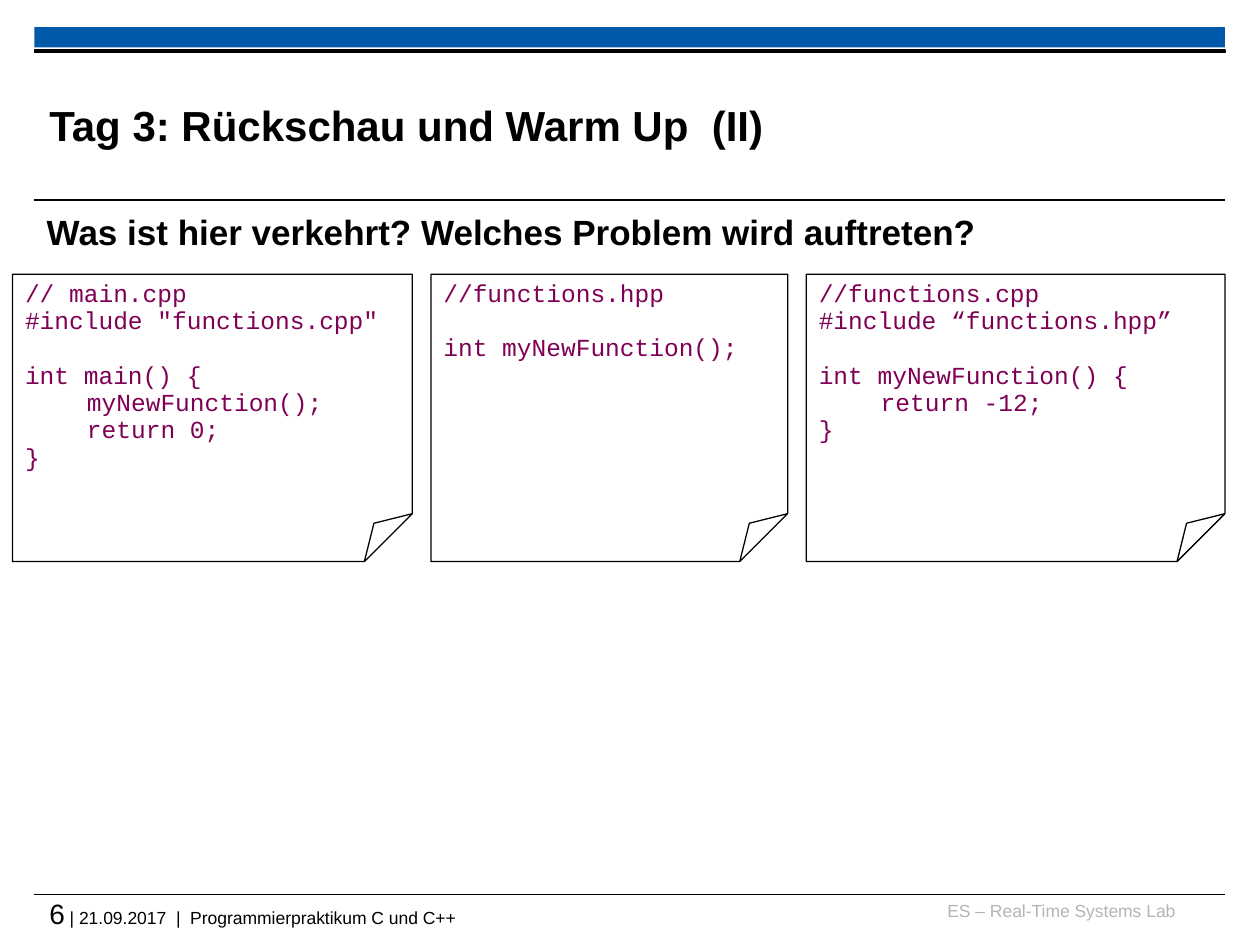
from dataclasses import dataclass

from lxml import etree
from pptx import Presentation
from pptx.dml.color import RGBColor
from pptx.enum import shapes, text
from pptx.oxml import ns
from pptx.util import Pt


@dataclass(frozen=True)
class Theme:
    sans: str = "Arial"
    mono: str = "Courier New"
    black: str = "000000"
    blue: str = "005AA9"
    grey: str = "B5B5B5"
    code: str = "7F0055"
    title_size: int = 24
    question_size: int = 20
    code_size: int = 14
    number_size: int = 16
    footer_size: int = 10
    hairline: float = 0.6
    outline: float = 0.75
    code_spacing: float = 0.93
    code_gap: float = 15.5
    code_tab: float = 35.4


THEME = Theme()

CODE_PANELS = [
    (7.2, 228.4, ["// main.cpp", '#include "functions.cpp"', "",
                  "int main() {", "\tmyNewFunction();", "\treturn 0;", "}"]),
    (246.3, 203.8, ["//functions.hpp", "", "int myNewFunction();"]),
    (460.8, 239.2, ["//functions.cpp", "#include “functions.hpp”", "",
                    "int myNewFunction() {", "\treturn -12;", "}"]),
]


def color(value):
    return RGBColor.from_string(value)


def add_run(paragraph, content, size, ink=THEME.black, font=THEME.sans, bold=False):
    run = paragraph.add_run()
    run.text = content
    run.font.name = font
    run.font.size = Pt(size)
    run.font.bold = bold
    run.font.color.rgb = color(ink)


def add_label(slide, box, inset=(0, 0), anchor=text.MSO_ANCHOR.TOP):
    frame = slide.shapes.add_textbox(*map(Pt, box)).text_frame
    frame.word_wrap = True
    frame.vertical_anchor = anchor
    frame.margin_left = frame.margin_right = Pt(inset[0])
    frame.margin_top = frame.margin_bottom = Pt(inset[1])
    return frame.paragraphs[0]


def add_rule(slide, left, top, width):
    rule = slide.shapes.add_connector(
        shapes.MSO_CONNECTOR.STRAIGHT, Pt(left), Pt(top), Pt(left + width), Pt(top))
    rule.line.color.rgb = color(THEME.black)
    rule.line.width = Pt(THEME.hairline)
    etree.SubElement(rule._element.spPr, ns.qn("a:effectLst"))


def add_bar(slide, box, fill):
    bar = slide.shapes.add_shape(shapes.MSO_SHAPE.RECTANGLE, *map(Pt, box))
    bar.shadow.inherit = False
    bar.fill.solid()
    bar.fill.fore_color.rgb = color(fill)
    bar.line.fill.background()
    return bar


def add_header(slide, left, top, width):
    add_bar(slide, (left, top, width, 11.5), THEME.blue)
    stripe = add_bar(slide, (left, top + 13, width, 1.4), THEME.black)
    stripe.line.color.rgb = color(THEME.black)
    stripe.line.width = Pt(THEME.outline)
    title = add_label(slide, (left + 8.6, top + 22.4, 541.4, 66.2),
                      anchor=text.MSO_ANCHOR.MIDDLE)
    add_run(title, "Tag 3: Rückschau und Warm Up  (II)", THEME.title_size, bold=True)
    add_rule(slide, left, top + 98.7, width)


def add_question(slide, left, top, width):
    question = add_label(slide, (left, top, width, 39.6), inset=(7.2, 3.6))
    question.space_before = Pt(2)
    add_run(question, "Was ist hier verkehrt? Welches Problem wird auftreten?",
            THEME.question_size, bold=True)


def set_tab(paragraph, position):
    properties = paragraph._p.get_or_add_pPr()
    tabs = etree.SubElement(properties, ns.qn("a:tabLst"))
    etree.SubElement(tabs, ns.qn("a:tab"), pos=str(Pt(position)), algn="l")


def add_code_panel(slide, left, top, width, height, lines):
    panel = slide.shapes.add_shape(
        shapes.MSO_SHAPE.FOLDED_CORNER, Pt(left), Pt(top), Pt(width), Pt(height))
    panel.shadow.inherit = False
    panel.fill.background()
    panel.line.color.rgb = color(THEME.black)
    panel.line.width = Pt(THEME.outline)
    frame = panel.text_frame
    frame.word_wrap = True
    frame.vertical_anchor = text.MSO_ANCHOR.TOP
    for index, line in enumerate(lines):
        if not line:
            continue
        paragraph = frame.add_paragraph() if index else frame.paragraphs[0]
        paragraph.alignment = text.PP_ALIGN.LEFT
        paragraph.line_spacing = THEME.code_spacing
        if index and not lines[index - 1]:
            paragraph.space_before = Pt(THEME.code_gap)
        if line.startswith("\t"):
            set_tab(paragraph, THEME.code_tab)
        add_run(paragraph, line, THEME.code_size, THEME.code, THEME.mono)


def add_footer(slide, left, top, width):
    add_rule(slide, left, top, width)
    lab = add_label(slide, (left + 510, top + 3, 142, 18))
    lab.alignment = text.PP_ALIGN.RIGHT
    lab.space_before = Pt(1)
    add_run(lab, "ES – Real-Time Systems Lab", THEME.footer_size, THEME.grey)
    course = add_label(slide, (left + 8.6, top + 1.6, width - 8.6, 23.8))
    add_run(course, "6", THEME.number_size)
    add_run(course, " | 21.09.2017  |  Programmierpraktikum C und C++", THEME.footer_size)


def main():
    presentation = Presentation()
    presentation.slide_width, presentation.slide_height = Pt(720), Pt(540)
    slide = presentation.slides.add_slide(presentation.slide_layouts[6])
    left, width = 19.6, 680.4
    add_header(slide, left, 15.6, width)
    add_question(slide, left, 116.6, width)
    for panel_left, panel_width, lines in CODE_PANELS:
        add_code_panel(slide, panel_left, 156.7, panel_width, 164.2, lines)
    add_footer(slide, left, 511, width)
    presentation.save("out.pptx")


if __name__ == "__main__":
    main()
